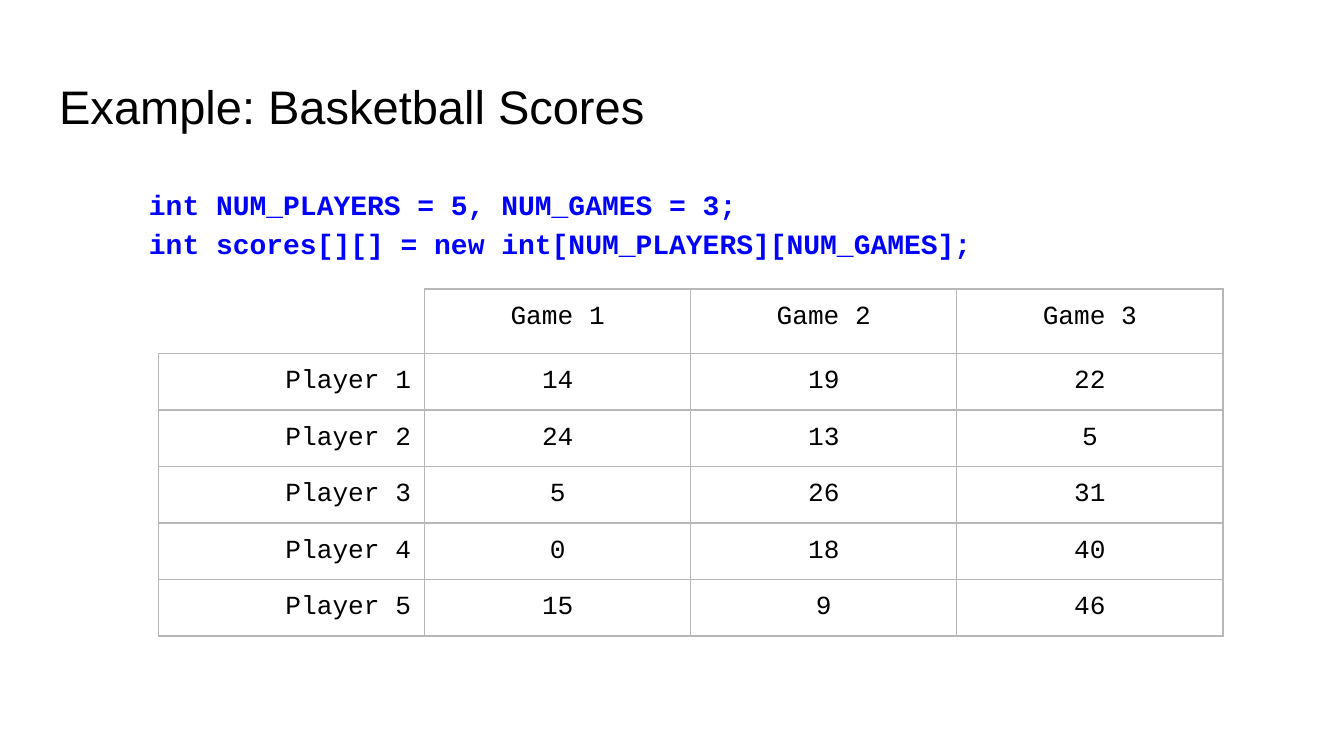
from lxml import etree
from pptx import Presentation
from pptx.dml.color import RGBColor
from pptx.enum.text import MSO_ANCHOR, MSO_AUTO_SIZE, PP_ALIGN
from pptx.oxml.ns import qn
from pptx.util import Inches, Pt

LEFT, CENTER, RIGHT = PP_ALIGN.LEFT, PP_ALIGN.CENTER, PP_ALIGN.RIGHT
TOP = MSO_ANCHOR.TOP
NO_AUTOFIT = MSO_AUTO_SIZE.NONE
TITLE_ONLY = 5

THEME = {
    "title_font": "Arial", "code_font": "Courier New",
    "title_size": 25.2, "code_size": 15, "table_size": 14,
    "text": "000000", "code": "0000FF",
    "border": "B7B7B7", "hidden_border": "FFFFFF", "border_width": 0.75,
}
PADDING = Inches(0.1)

CODE = ("int NUM_PLAYERS = 5, NUM_GAMES = 3;\v"
        "int scores[][] = new int[NUM_PLAYERS][NUM_GAMES];")
SCORES = [[14, 19, 22], [24, 13, 5], [5, 26, 31], [0, 18, 40], [15, 9, 46]]


def write(frame, text, font, size, color, bold=False, align=LEFT, spacing=1.0, indent=0):
    """Fill a text frame with one formatted paragraph; a vertical tab breaks the line."""
    para = frame.paragraphs[0]
    para.text = text
    para.alignment = align
    para.line_spacing = spacing
    para._p.get_or_add_pPr().set("marL", str(Inches(indent)))
    para._p.get_or_add_pPr().set("indent", "0")
    for span in para.runs:
        span.font.name = font
        span.font.size = Pt(size)
        span.font.bold = bold
        span.font.color.rgb = RGBColor.from_string(color)


def set_border(cell, side, color):
    line = etree.SubElement(cell._tc.get_or_add_tcPr(), qn(f"a:ln{side}"),
                            w=str(Pt(THEME["border_width"])))
    fill = etree.SubElement(line, qn("a:solidFill"))
    etree.SubElement(fill, qn("a:srgbClr"), val=color)


deck = Presentation()
deck.slide_width = Inches(10)
deck.slide_height = deck.slide_width * 9 // 16
page = deck.slides.add_slide(deck.slide_layouts[TITLE_ONLY])

# Title and code
title = page.shapes.title
title.left, title.top = Inches(0.34), Inches(0.48)
title.width, title.height = Inches(9.32), Inches(0.63)
code_box = page.shapes.add_textbox(Inches(0.51), Inches(1.26), Inches(9.32), Inches(3.74))
for box in (title, code_box):
    frame = box.text_frame
    frame.word_wrap = True
    frame.auto_size = NO_AUTOFIT
    frame.vertical_anchor = TOP
    frame.margin_left = frame.margin_right = PADDING
    frame.margin_top = frame.margin_bottom = PADDING
write(title.text_frame, "Example: Basketball Scores", THEME["title_font"],
      THEME["title_size"], THEME["text"])
write(code_box.text_frame, CODE, THEME["code_font"], THEME["code_size"],
      THEME["code"], bold=True, spacing=1.15, indent=0.5)

# Score table
rows = [["", "Game 1", "Game 2", "Game 3"]]
rows += [[f"Player {number}", *map(str, points)]
         for number, points in enumerate(SCORES, start=1)]
table = page.shapes.add_table(len(rows), len(rows[0]), Inches(1.18), Inches(2.15),
                              Inches(7.92), Inches(2.58)).table
table.first_row = table.horz_banding = False
for column in table.columns:
    column.width = Inches(1.98)
for row_index, values in enumerate(rows):
    table.rows[row_index].height = Inches(0.42 if row_index else 0.48)
    for column_index, value in enumerate(values):
        cell = table.cell(row_index, column_index)
        is_corner = row_index == column_index == 0
        for side in "LRTB":
            hidden = is_corner and side in "LT"
            set_border(cell, side, THEME["hidden_border" if hidden else "border"])
        cell.fill.background()
        if not is_corner:
            cell.margin_left = cell.margin_right = PADDING
            cell.margin_top = cell.margin_bottom = PADDING
            write(cell.text_frame, value, THEME["code_font"], THEME["table_size"],
                  THEME["text"], align=CENTER if column_index else RIGHT)

deck.save("out.pptx")
